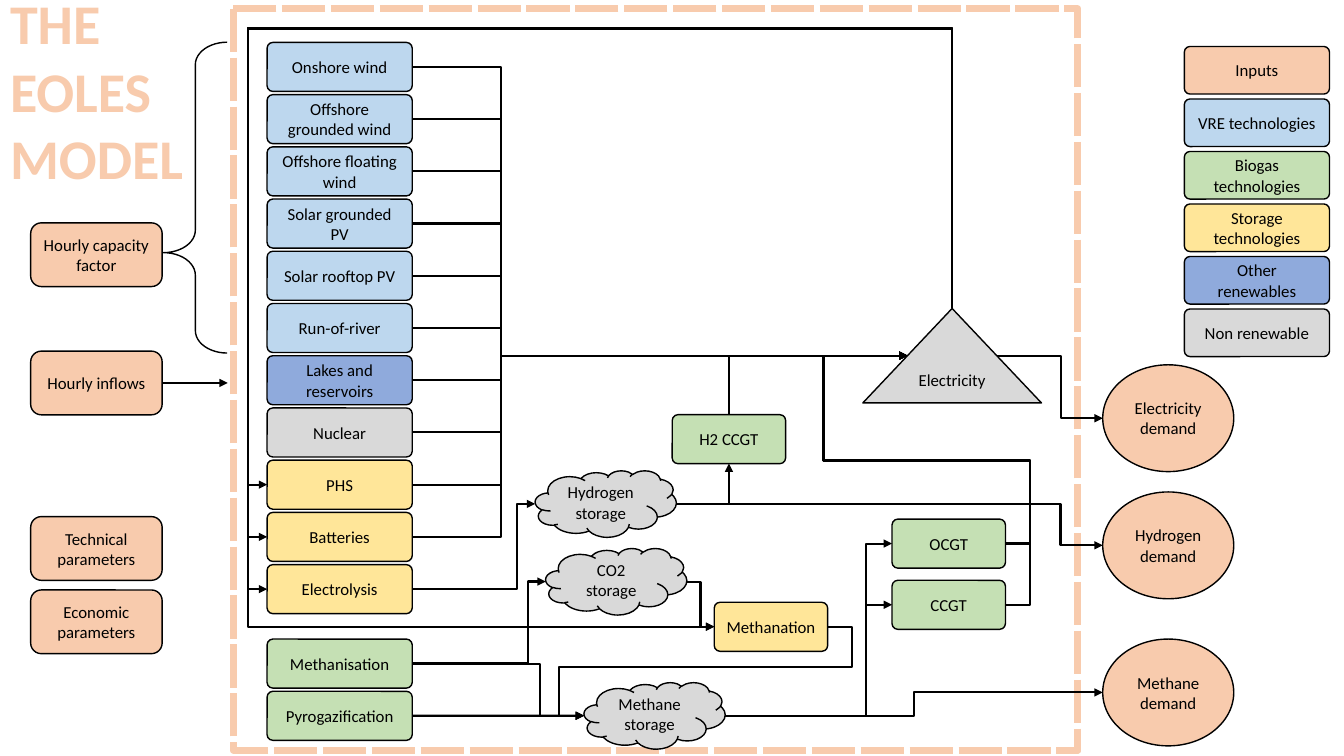
from lxml import etree
from pptx import Presentation
from pptx.dml.color import RGBColor
from pptx.enum.dml import MSO_LINE
from pptx.enum.shapes import MSO_CONNECTOR, MSO_SHAPE
from pptx.enum.text import MSO_ANCHOR, MSO_AUTO_SIZE, PP_ALIGN
from pptx.oxml.ns import qn
from pptx.util import Pt

ROUNDED = MSO_SHAPE.ROUNDED_RECTANGLE
CLOUD = MSO_SHAPE.CLOUD
OVAL = MSO_SHAPE.OVAL
TRIANGLE = MSO_SHAPE.ISOSCELES_TRIANGLE
FRAME = MSO_SHAPE.FRAME
BRACE = MSO_SHAPE.LEFT_BRACE
STRAIGHT = MSO_CONNECTOR.STRAIGHT
ELBOW = MSO_CONNECTOR.ELBOW
DASH = MSO_LINE.DASH
TOP, MIDDLE = MSO_ANCHOR.TOP, MSO_ANCHOR.MIDDLE
LEFT, CENTER = PP_ALIGN.LEFT, PP_ALIGN.CENTER
NO_AUTOFIT = MSO_AUTO_SIZE.NONE

INPUT, VRE, BIOGAS = "F8CBAD", "BDD7EE", "C5E0B4"
STORAGE, RENEWABLE, NEUTRAL, INK = "FFE699", "8FAADC", "D9D9D9", "000000"

# Connection-site numbers of each preset outline.
SITES = {
    ROUNDED: {"top": 0, "left": 1, "bottom": 2, "right": 3},
    CLOUD: {"right": 0, "bottom": 1, "left": 2, "top": 3},
    OVAL: {"top": 0, "left": 2, "bottom": 4, "right": 6},
    TRIANGLE: {"top": 0, "left": 1, "bottom": 3, "right": 5},
}


def color(hex_code):
    """Turn a hex string into a colour."""
    return RGBColor.from_string(hex_code)


def site_point(node, side):
    """Return the x and y, in points, of the site on one side of a node."""
    x, y, w, h = (v.pt for v in (node.left, node.top, node.width, node.height))
    slant = w / 4 if node.auto_shape_type == TRIANGLE else 0
    return {"top": (x + w / 2, y), "bottom": (x + w / 2, y + h),
            "left": (x + slant, y + h / 2),
            "right": (x + w - slant, y + h / 2)}[side]


class Diagram:
    """Holds the style and the slide, and draws each kind of element."""

    font, size, outline, flow_width = "Calibri", 12, 1, 1.5

    def __init__(self, slide):
        """Keep the slide to draw on."""
        self.slide = slide

    def add_lines(self, frame, text, size, hex_code, align, bold=False):
        """Add one paragraph per line of text."""
        for number, line in enumerate(text.split("\n")):
            paragraph = frame.add_paragraph() if number else frame.paragraphs[0]
            paragraph.alignment = align
            run = paragraph.add_run()
            run.text = line
            run.font.name, run.font.size, run.font.bold = self.font, Pt(size), bold
            run.font.color.rgb = color(hex_code)

    def title(self, text, x, y, w, h):
        """Fill and place the title placeholder."""
        heading = self.slide.shapes.title
        heading.left, heading.top, heading.width, heading.height = map(Pt, (x, y, w, h))
        frame = heading.text_frame
        frame.word_wrap, frame.auto_size = False, NO_AUTOFIT
        frame.vertical_anchor = TOP
        self.add_lines(frame, text, 40, INPUT, LEFT, bold=True)

    def outline_shape(self, kind, x, y, w, h, adjust=(), line=INK, weight=outline):
        """Add an unfilled outline."""
        shape = self.slide.shapes.add_shape(kind, *map(Pt, (x, y, w, h)))
        shape.shadow.inherit = False
        shape.fill.background()
        shape.line.color.rgb, shape.line.width = color(line), Pt(weight)
        for number, value in enumerate(adjust):
            shape.adjustments[number] = value
        return shape

    def node(self, text, fill, x, y, w, h, kind=ROUNDED, adjust=()):
        """Add a filled, labelled node."""
        shape = self.outline_shape(kind, x, y, w, h, adjust)
        shape.fill.solid()
        shape.fill.fore_color.rgb = color(fill)
        frame = shape.text_frame
        frame.word_wrap = kind != TRIANGLE
        frame.vertical_anchor = MIDDLE
        self.add_lines(frame, text, self.size, INK, CENTER)
        return shape

    def box(self, text, fill, x, y, w=103.7, h=35):
        """Add a technology box with slightly rounded corners."""
        return self.node(text, fill, x, y, w, h, adjust=[0.118])

    def arrow(self, start, end, kind=STRAIGHT):
        """Add a connector with an arrowhead at its end."""
        link = self.slide.shapes.add_connector(kind, *map(Pt, (*start, *end)))
        link.line.color.rgb, link.line.width = color(INK), Pt(self.flow_width)
        properties = link._element.spPr
        etree.SubElement(properties.find(qn("a:ln")), qn("a:tailEnd"), type="triangle")
        etree.SubElement(properties, qn("a:effectLst"))
        return link

    def flow(self, source, source_side, target, target_side, *bends):
        """Join two nodes; bends are the turning coordinates, x and y in turn."""
        start, end = site_point(source, source_side), site_point(target, target_side)
        dx, dy = end[0] - start[0], end[1] - start[1]
        upright = source_side in ("top", "bottom")
        if abs(dy) < 1:
            link = self.arrow(start, end)
        elif upright:
            # A quarter turn makes the first leg vertical.
            cx, cy = (start[0] + end[0]) / 2, (start[1] + end[1]) / 2
            link = self.arrow((cx - dy / 2, cy + dx / 2),
                              (cx + dy / 2, cy - dx / 2), ELBOW)
            link._element.spPr.find(qn("a:xfrm")).set("rot", "5400000")
        else:
            link = self.arrow(start, end, ELBOW)
        if abs(dy) >= 1:
            geometry = link._element.spPr.find(qn("a:prstGeom"))
            geometry.set("prst", f"bentConnector{len(bends) + 2}")
            guides = geometry.find(qn("a:avLst"))
            for number, bend in enumerate(bends):
                axis = (number + upright) % 2
                ratio = (bend - start[axis]) / (end[axis] - start[axis])
                etree.SubElement(guides, qn("a:gd"), name=f"adj{number + 1}",
                                 fmla=f"val {round(ratio * 100000)}")
        joints = link._element.find(".//" + qn("p:cNvCxnSpPr"))
        for tag, node, side in (("a:stCxn", source, source_side),
                                ("a:endCxn", target, target_side)):
            etree.SubElement(joints, qn(tag), id=str(node.shape_id),
                             idx=str(SITES[node.auto_shape_type][side]))


deck = Presentation()
deck.slide_width, deck.slide_height = Pt(960), Pt(540)
diagram = Diagram(deck.slides.add_slide(deck.slide_layouts[5]))
diagram.title("THE\nEOLES\nMODEL", 0, -11.5, 140, 153)

boundary = diagram.outline_shape(FRAME, 166.5, 6.3, 603.4, 529.5, [0], INPUT, 5)
boundary.line.dash_style = DASH
diagram.outline_shape(BRACE, 116.8, 30.2, 45.5, 222, [0.352, 0.677])

for number, (label, fill) in enumerate([
        ("Inputs", INPUT), ("VRE technologies", VRE), ("Biogas technologies", BIOGAS),
        ("Storage technologies", STORAGE), ("Other renewables", RENEWABLE),
        ("Non renewable", NEUTRAL)]):
    diagram.box(label, fill, 846, 33.2 + 37.5 * number, h=34)

inputs = {label: diagram.node(label, INPUT, 21.9, y, 93.9, 45.5) for label, y in [
    ("Hourly capacity factor", 159.2), ("Hourly inflows", 250.8),
    ("Technical parameters", 369), ("Economic parameters", 421.4)]}

ROW_PITCH = 37.3
producers = [diagram.box(label, fill, 190.8, 30.3 + ROW_PITCH * row)
             for row, (label, fill) in enumerate([
                 ("Onshore wind", VRE), ("Offshore grounded wind", VRE),
                 ("Offshore floating wind", VRE), ("Solar grounded PV", VRE),
                 ("Solar rooftop PV", VRE), ("Run-of-river", VRE),
                 ("Lakes and reservoirs", RENEWABLE), ("Nuclear", NEUTRAL),
                 ("PHS", STORAGE), ("Batteries", STORAGE), ("Electrolysis", STORAGE)])]
electrolysis = producers[-1]
methanisation, pyrogazification = [
    diagram.box(label, BIOGAS, 190.8, 456.5 + ROW_PITCH * row)
    for row, label in enumerate(["Methanisation", "Pyrogazification"])]

h2_ccgt, methanation, ocgt, ccgt = [
    diagram.box(label, fill, x, y, w=81) for label, fill, x, y in [
        ("H2 CCGT", BIOGAS, 480.2, 296.2), ("Methanation", STORAGE, 510.2, 430.2),
        ("OCGT", BIOGAS, 637.2, 370.8), ("CCGT", BIOGAS, 637.2, 414.5)]]
hydrogen, co2, methane = [
    diagram.node(f"{gas}\nstorage", NEUTRAL, x, y, 100.8, 47.5, CLOUD)
    for gas, x, y in [("Hydrogen", 382.3, 336.2), ("CO2", 389.8, 391.7),
                      ("Methane", 417.2, 487.5)]]
electricity = diagram.node("Electricity", NEUTRAL, 616.3, 220.3, 127.6, 67.5, TRIANGLE)
electricity_demand, hydrogen_demand, methane_demand = [
    diagram.node(f"{carrier}\ndemand", INPUT, 787.7, y, 93.6, 76.3, OVAL)
    for carrier, y in [("Electricity", 260.6), ("Hydrogen", 351.4), ("Methane", 456.5)]]

inflow_start = site_point(inputs["Hourly inflows"], "right")
diagram.arrow(inflow_start, (162.7, inflow_start[1]))

for producer in producers[:-1]:
    diagram.flow(producer, "right", electricity, "left", 358)
for consumer in [*producers[-3:], methanation]:
    diagram.flow(electricity, "top", consumer, "left", 20.3, 177)
for plant in (ocgt, ccgt):
    diagram.flow(methane, "right", plant, "left", 618.5)
    diagram.flow(plant, "right", electricity, "left", 736, 329, 588.2)

for source, source_side, target, target_side, *bends in [
        (h2_ccgt, "top", electricity, "left"),
        (hydrogen, "right", h2_ccgt, "bottom"),
        (electrolysis, "right", hydrogen, "left", 369.5),
        (methanisation, "right", co2, "left", 377.5),
        (methanisation, "right", methane, "left", 386),
        (pyrogazification, "right", methane, "left"),
        (co2, "right", methanation, "left", 500.4),
        (methanation, "right", methane, "left", 608.5, 476.5, 399.5),
        (electricity, "right", electricity_demand, "left", 758),
        (hydrogen, "right", hydrogen_demand, "left", 757.6),
        (methane, "right", methane_demand, "left", 653)]:
    diagram.flow(source, source_side, target, target_side, *bends)

deck.save("out.pptx")
